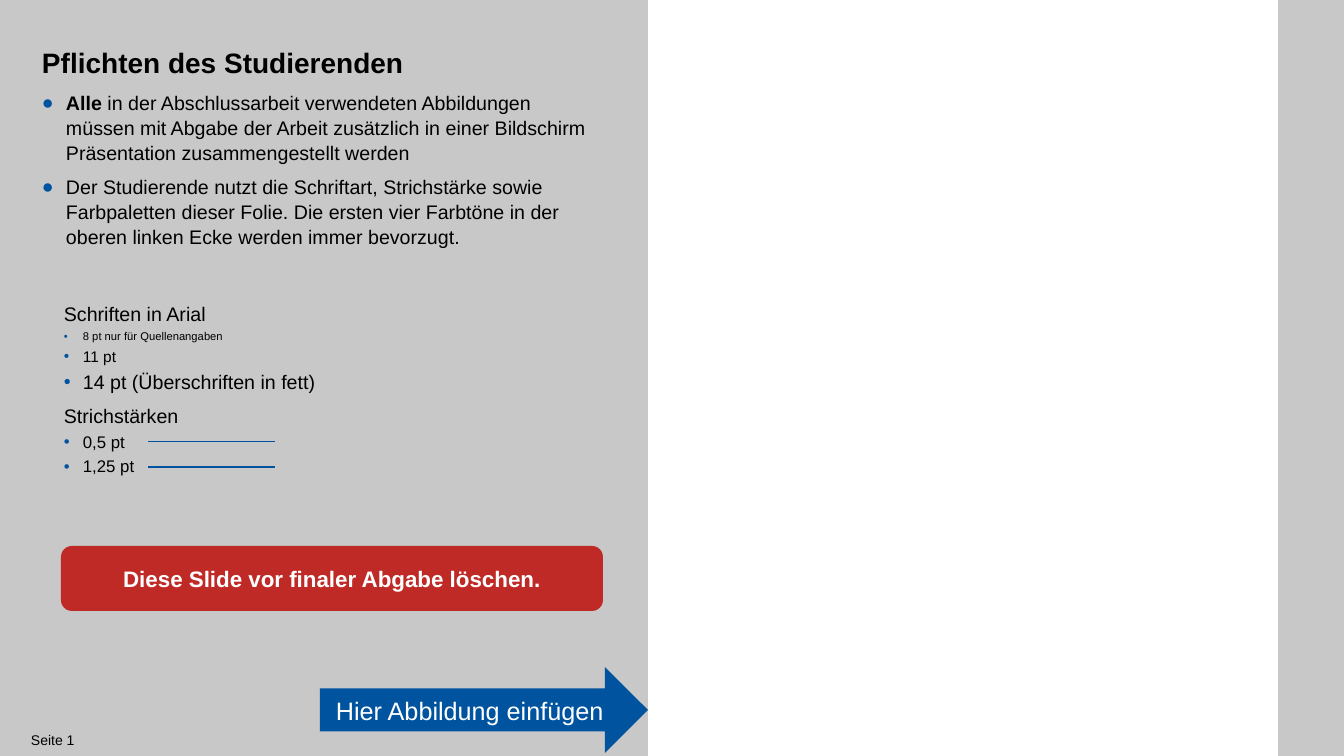
from lxml.etree import SubElement
from pptx import Presentation
from pptx.dml.color import RGBColor
from pptx.enum.shapes import MSO_CONNECTOR, MSO_SHAPE
from pptx.enum.text import MSO_ANCHOR, MSO_AUTO_SIZE, PP_ALIGN
from pptx.oxml.ns import qn
from pptx.util import Pt

PX = 914400 / 100.8
FONT = "Arial"
COLORS = {"panel": "C8C8C8", "blue": "00549F", "red": "C02A26",
          "black": "000000", "white": "FFFFFF"}


def px(value):
    return round(value * PX)


def color(name):
    return RGBColor.from_string(COLORS[name])


def apply(target, values):
    for name, value in values.items():
        setattr(target, name, value)


def place(shape, left, top, width, height):
    apply(shape, {"left": px(left), "top": px(top),
                  "width": px(width), "height": px(height)})


def set_frame(frame, margins=None, **values):
    frame.word_wrap = True
    apply(frame, values)
    if margins:
        sides = ("left", "top", "right", "bottom")
        apply(frame, {f"margin_{side}": px(m) for side, m in zip(sides, margins)})


def add_run(paragraph, text, size, color_name="black", bold=False):
    run = paragraph.add_run()
    run.text = text
    apply(run.font, {"name": FONT, "size": Pt(size), "bold": bold})
    run.font.color.rgb = color(color_name)


def add_bullet(paragraph, char, indent, tab=False):
    properties = paragraph._p.get_or_add_pPr()
    properties.set("marL", str(px(indent)))
    properties.set("indent", str(-px(indent)))
    bullet_color = SubElement(properties, qn("a:buClr"))
    SubElement(bullet_color, qn("a:srgbClr"), val=COLORS["blue"])
    SubElement(properties, qn("a:buFont"), typeface=FONT)
    SubElement(properties, qn("a:buChar"), char=char)
    if tab:
        tabs = SubElement(properties, qn("a:tabLst"))
        SubElement(tabs, qn("a:tab"), pos=str(px(indent)), algn="l")


def next_paragraph(frame, index):
    return frame.paragraphs[0] if index == 0 else frame.add_paragraph()


def add_filled(slide, kind, box, fill, text=None, size=18, bold=False):
    shape = slide.shapes.add_shape(kind, *map(px, box))
    shape.shadow.inherit = False
    shape.fill.solid()
    shape.fill.fore_color.rgb = color(fill)
    shape.line.fill.background()
    if text:
        set_frame(shape.text_frame, vertical_anchor=MSO_ANCHOR.MIDDLE)
        paragraph = shape.text_frame.paragraphs[0]
        paragraph.alignment = PP_ALIGN.CENTER
        add_run(paragraph, text, size, "white", bold)


def add_page_label(slide):
    label = slide.shapes.add_textbox(*map(px, (27, 728, 179, 35)))
    set_frame(label.text_frame, (4, 4, 4, 0))
    add_run(label.text_frame.paragraphs[0], "Seite 1", 10)


def fill_title(slide, text):
    title = slide.shapes.title
    place(title, 42, 11, 560, 68)
    set_frame(title.text_frame, (0, 0, 0, 0), vertical_anchor=MSO_ANCHOR.BOTTOM,
              auto_size=MSO_AUTO_SIZE.NONE)
    paragraph = title.text_frame.paragraphs[0]
    paragraph.alignment = PP_ALIGN.LEFT
    add_run(paragraph, text, 20, bold=True)
    slide.shapes.element.append(title.element)


def fill_duties(slide, duties):
    body = slide.placeholders[1]
    place(body, 42, 89, 560, 181)
    set_frame(body.text_frame, (0, 0, 0, 0), vertical_anchor=MSO_ANCHOR.TOP,
              auto_size=MSO_AUTO_SIZE.SHAPE_TO_FIT_TEXT)
    for index, runs in enumerate(duties):
        paragraph = next_paragraph(body.text_frame, index)
        add_bullet(paragraph, "●", 24, tab=True)
        apply(paragraph, {"level": 1, "line_spacing": 1.07,
                          "space_before": Pt(6 if index else 0)})
        for text, bold in runs:
            add_run(paragraph, text, 14, bold=bold)
    slide.shapes.element.append(body.element)


def add_style_list(slide, entries):
    box = slide.shapes.add_textbox(*map(px, (54, 297, 332, 222)))
    set_frame(box.text_frame)
    for index, (text, size, is_heading) in enumerate(entries):
        paragraph = next_paragraph(box.text_frame, index)
        if not is_heading:
            paragraph.level = 1
            add_bullet(paragraph, "•", 19)
        before = 4.5 if is_heading and index else 0
        apply(paragraph, {"space_before": Pt(before), "space_after": Pt(3)})
        add_run(paragraph, text, size)


def add_sample_line(slide, y, weight):
    line = slide.shapes.add_connector(MSO_CONNECTOR.STRAIGHT, px(148), px(y), px(275), px(y))
    line.line.color.rgb = color("blue")
    line.line.width = Pt(weight)
    SubElement(line.element.spPr, qn("a:effectLst"))


def main():
    presentation = Presentation()
    apply(presentation, {"slide_width": px(1344), "slide_height": px(756)})
    slide = presentation.slides.add_slide(presentation.slide_layouts[1])

    # Grey side panels, page label and arrow
    for left, width in ((0, 648), (1278, 66)):
        add_filled(slide, MSO_SHAPE.RECTANGLE, (left, 0, width, 756), "panel")
    add_page_label(slide)
    add_filled(slide, MSO_SHAPE.RIGHT_ARROW, (320, 667, 328, 86), "blue",
               "Hier Abbildung einfügen ")

    # Duties
    fill_duties(slide, [
        [("Alle", True),
         (" in der Abschlussarbeit verwendeten Abbildungen müssen mit Abgabe der Arbeit "
          "zusätzlich in einer Bildschirm Präsentation zusammengestellt werden", False)],
        [("Der Studierende nutzt die Schriftart, Strichstärke sowie Farbpaletten dieser "
          "Folie. Die ersten vier Farbtöne in der oberen linken Ecke werden immer "
          "bevorzugt.", False)],
    ])
    fill_title(slide, "Pflichten des Studierenden")

    # Deletion notice
    add_filled(slide, MSO_SHAPE.ROUNDED_RECTANGLE, (61, 546, 542, 65), "red",
               "Diese Slide vor finaler Abgabe löschen.", 16, True)

    # Font sizes and line weights
    add_style_list(slide, [
        ("Schriften in Arial", 14, True),
        ("8 pt nur für Quellenangaben", 8, False),
        ("11 pt", 11, False),
        ("14 pt (Überschriften in fett)", 14, False),
        ("Strichstärken", 14, True),
        ("0,5 pt", 12, False),
        ("1,25 pt", 12, False),
    ])
    for y, weight in ((441, 0.5), (467, 1.5)):
        add_sample_line(slide, y, weight)

    presentation.save("out.pptx")


if __name__ == "__main__":
    main()
